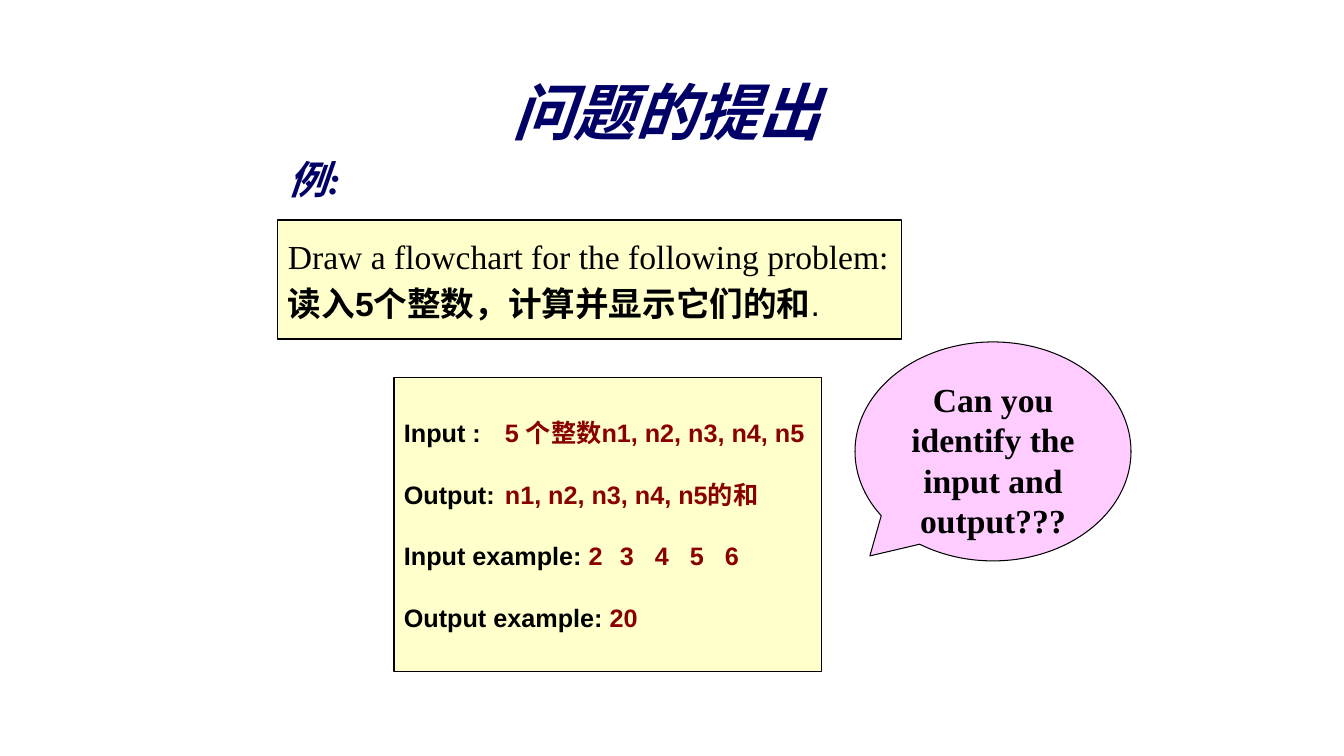
from dataclasses import dataclass

from lxml.etree import SubElement
from pptx import Presentation
from pptx.dml.color import RGBColor
from pptx.enum.shapes import MSO_SHAPE as Shape
from pptx.enum.text import MSO_ANCHOR as Anchor, PP_ALIGN as Align
from pptx.oxml.ns import qn
from pptx.util import Emu, Pt

SLIDE_WIDTH, SLIDE_HEIGHT = 1344, 756
EMU_PER_PX = 12192000 / SLIDE_WIDTH


def px(length):
    return Emu(round(length * EMU_PER_PX))


@dataclass(frozen=True)
class Theme:
    serif: str = "Times New Roman"
    sans: str = "Arial"
    navy: str = "000066"
    black: str = "000000"
    maroon: str = "880000"
    cream: str = "FFFFCC"
    pink: str = "FFCCFF"
    title: int = 44
    heading: int = 28
    body: int = 24
    detail: int = 18
    outline: float = 0.75


class SlideBuilder:
    def __init__(self, slide, theme):
        self.slide = slide
        self.theme = theme

    def run(self, paragraph, text, size, font, color, bold=False, italic=False):
        run = paragraph.add_run()
        run.text = text
        formats = {"size": Pt(size), "bold": bold, "italic": italic, "name": font}
        for name, value in formats.items():
            setattr(run.font, name, value)
        run.font.color.rgb = RGBColor.from_string(color)
        return run

    def paragraph(self, frame, runs, first, align=Align.LEFT, before=0, tabs=()):
        paragraph = frame.paragraphs[0] if first else frame.add_paragraph()
        paragraph.alignment = align
        if not first:
            paragraph.space_before = Pt(before)
        if tabs:
            tab_list = SubElement(paragraph._p.get_or_add_pPr(), qn("a:tabLst"))
            for stop in tabs:
                SubElement(tab_list, qn("a:tab"), pos=str(px(stop)), algn="l")
        for run in runs:
            self.run(paragraph, *run)

    def heading(self, box, text, size):
        frame = self.slide.shapes.add_textbox(*map(px, box)).text_frame
        frame.word_wrap = True
        frame.vertical_anchor = Anchor.MIDDLE
        paragraph = frame.paragraphs[0]
        paragraph.alignment = Align.CENTER
        paragraph.line_spacing = 0.85
        run = self.run(paragraph, text, size, self.theme.serif, self.theme.navy, True, True)
        effects = run.font._element.makeelement(qn("a:effectLst"))
        run.font._element.find(qn("a:solidFill")).addnext(effects)
        shadow = SubElement(effects, qn("a:outerShdw"), dist="38100", dir="2700000", algn="tl")
        SubElement(shadow, qn("a:srgbClr"), val=self.theme.black)

    def panel(self, kind, box, fill, anchor, wrap):
        shape = self.slide.shapes.add_shape(kind, *map(px, box))
        shape.shadow.inherit = False
        shape.fill.solid()
        shape.fill.fore_color.rgb = RGBColor.from_string(fill)
        shape.line.color.rgb = RGBColor.from_string(self.theme.black)
        shape.line.width = Pt(self.theme.outline)
        shape.text_frame.word_wrap = wrap
        shape.text_frame.vertical_anchor = anchor
        return shape

    def callout(self, box, text, tail):
        theme = self.theme
        shape = self.panel(Shape.OVAL_CALLOUT, box, theme.pink, Anchor.TOP, True)
        for index, value in enumerate(tail):
            shape.adjustments[index] = value
        run = (text, theme.body, theme.serif, theme.black, True)
        self.paragraph(shape.text_frame, [run], True, Align.CENTER)

    def problem(self, box, task, statement):
        theme = self.theme
        frame = self.panel(Shape.RECTANGLE, box, theme.cream, Anchor.MIDDLE, False).text_frame
        self.paragraph(frame, [(task, theme.body, theme.serif, theme.black)], True)
        words = (statement, theme.body, theme.sans, theme.black, True)
        stop = (".", theme.body, theme.sans, theme.black)
        self.paragraph(frame, [words, stop], False, before=5)

    def analysis(self, box, rows):
        theme = self.theme
        frame = self.panel(Shape.RECTANGLE, box, theme.cream, Anchor.MIDDLE, False).text_frame
        for index, (label, value, tabs) in enumerate(rows):
            runs = [(text, theme.detail, theme.sans, color, True)
                    for text, color in ((label, theme.black), (value, theme.maroon))]
            self.paragraph(frame, runs, index == 0, before=22.5, tabs=tabs)


def main():
    deck = Presentation()
    deck.slide_width, deck.slide_height = px(SLIDE_WIDTH), px(SLIDE_HEIGHT)
    theme = Theme()
    builder = SlideBuilder(deck.slides.add_slide(deck.slide_layouts[6]), theme)

    value_tab = [101]
    number_tabs = [216 + 35 * step for step in range(4)]
    analysis_rows = [
        ("Input :\t", "5 个整数n1, n2, n3, n4, n5", value_tab),
        ("Output:\t", "n1, n2, n3, n4, n5的和", value_tab),
        ("Input example: ", "\t".join("23456"), number_tabs),
        ("Output example: ", "20", ()),
    ]

    builder.heading((220, 132, 190, 101), "例:", theme.heading)
    builder.callout((855, 342, 276, 219), "Can you identify the input and output???",
                    (-0.446, 0.477))
    builder.problem((278, 220, 624, 119), "Draw a flowchart for the following problem:",
                    "读入5个整数，计算并显示它们的和")
    builder.analysis((394, 378, 428, 294), analysis_rows)
    builder.heading((232, 70, 869, 94), "问题的提出", theme.title)
    deck.save("out.pptx")


if __name__ == "__main__":
    main()
